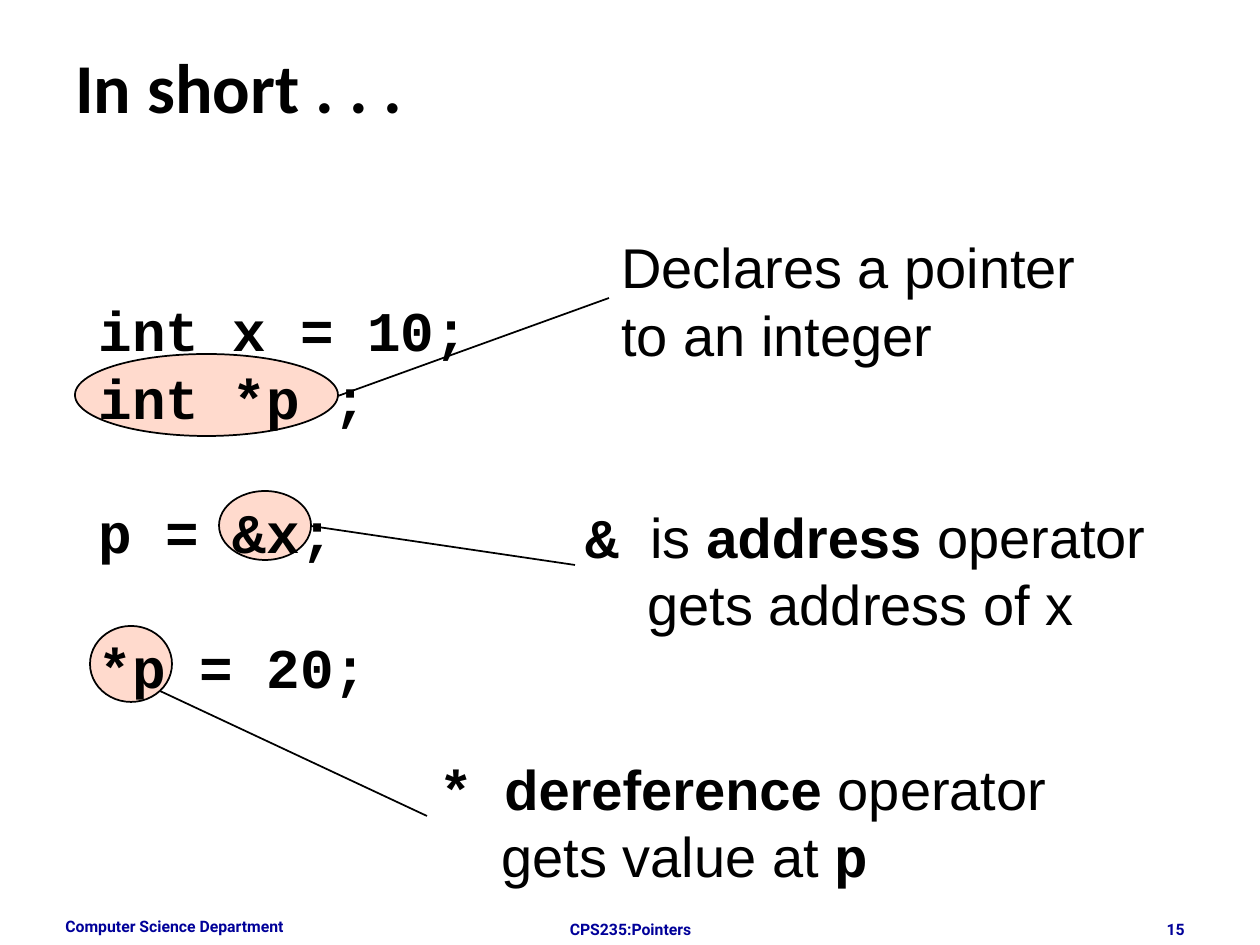
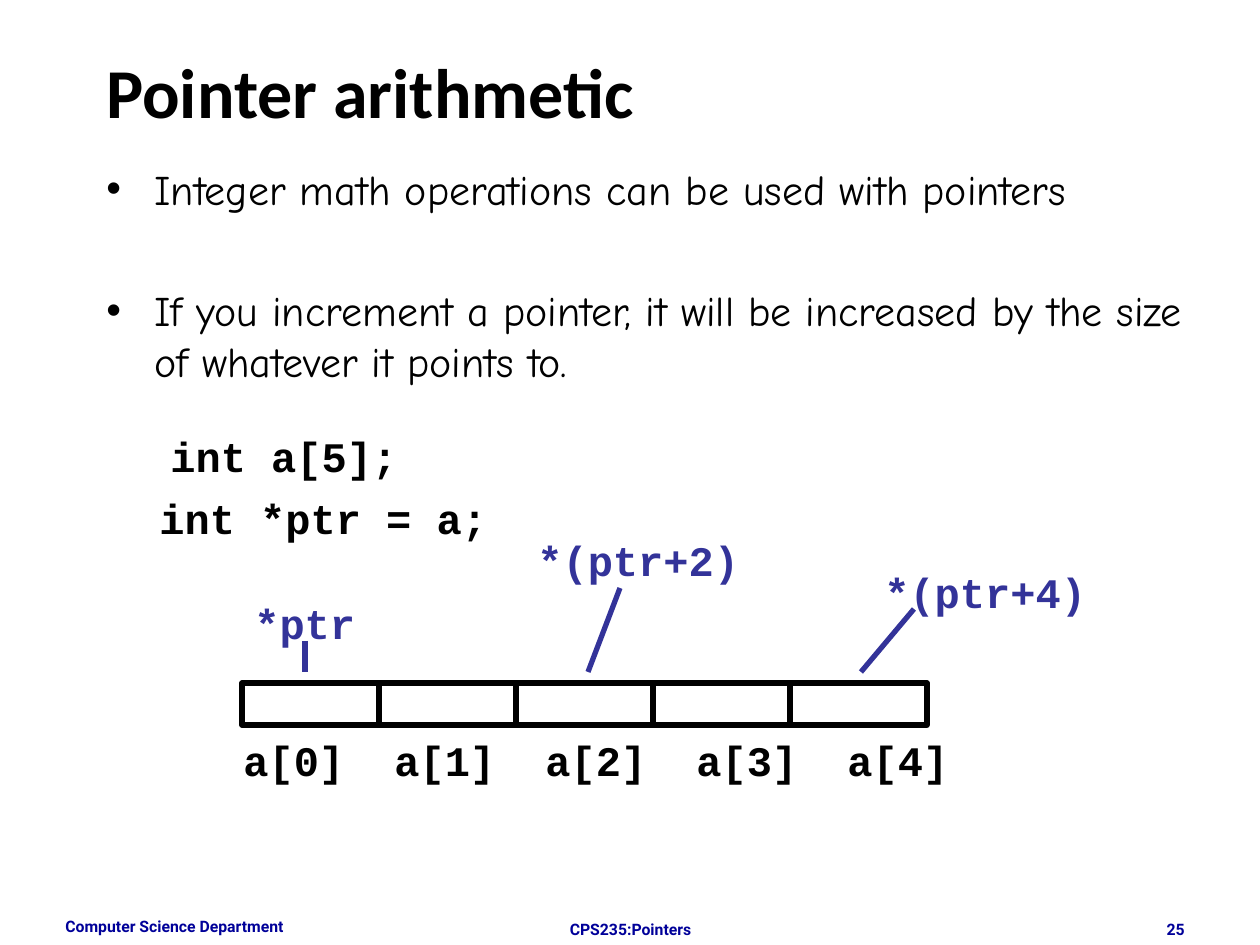
from lxml import etree
from pptx import Presentation
from pptx.dml.color import RGBColor
from pptx.enum.shapes import MSO_CONNECTOR, MSO_SHAPE
from pptx.enum.text import MSO_ANCHOR, MSO_AUTO_SIZE, PP_ALIGN
from pptx.oxml.ns import qn
from pptx.util import Inches, Pt

PX = 7257
BLACK = RGBColor(0x00, 0x00, 0x00)
NAVY = RGBColor(0x00, 0x00, 0x99)
INDIGO = RGBColor(0x33, 0x33, 0x99)
PEACH = RGBColor(0xFF, 0xDA, 0xCD)
LEFT, CENTER, RIGHT = PP_ALIGN.LEFT, PP_ALIGN.CENTER, PP_ALIGN.RIGHT
TOP = MSO_ANCHOR.TOP
GROW = MSO_AUTO_SIZE.SHAPE_TO_FIT_TEXT
FIXED = MSO_AUTO_SIZE.NONE
OVAL, RECTANGLE = MSO_SHAPE.OVAL, MSO_SHAPE.RECTANGLE
STRAIGHT = MSO_CONNECTOR.STRAIGHT

TITLE = {"name": "Calibri", "size": Pt(40), "bold": True}
FOOTER = {"name": "Roboto", "size": Pt(9), "bold": True}
BIG_CODE = {"name": "Courier New", "size": Pt(32), "bold": True}
NOTE = {"name": "Arial", "size": Pt(32), "bold": False}
NOTE_BOLD = NOTE | {"bold": True}
CODE = BIG_CODE | {"size": Pt(24)}
BODY = {"name": "Comic Neue", "size": Pt(24), "bold": False}


def add_text(slide, box, paragraphs, color=BLACK, align=LEFT, wrap=True,
             top=6, leading=None, before=(), indents=(), tabs=(), bullet=None):
    frame = slide.shapes.add_textbox(*[v * PX for v in box]).text_frame
    settings = {"word_wrap": wrap, "auto_size": FIXED if wrap else GROW,
                "vertical_anchor": TOP, "margin_top": top * PX}
    for key, value in settings.items():
        setattr(frame, key, value)
    for i, runs in enumerate(paragraphs):
        paragraph = frame.paragraphs[0] if i == 0 else frame.add_paragraph()
        properties = paragraph._p.get_or_add_pPr()
        if indents:
            properties.set("marL", str(indents[i] * PX))
        if bullet:
            properties.set("indent", str(-indents[i] * PX))
            bullet_color = etree.SubElement(properties, qn("a:buClr"))
            etree.SubElement(bullet_color, qn("a:srgbClr"), val=str(color))
            etree.SubElement(properties, qn("a:buFont"), typeface="Arial")
            etree.SubElement(properties, qn("a:buChar"), char=bullet)
        if tabs:
            tab_list = etree.SubElement(properties, qn("a:tabLst"))
            for stop in tabs:
                etree.SubElement(tab_list, qn("a:tab"), pos=str(stop * PX), algn="l")
        paragraph.alignment = align
        if leading:
            paragraph.line_spacing = Pt(leading)
        if before and before[i]:
            paragraph.space_before = Pt(before[i])
        for text, style in runs:
            run = paragraph.add_run()
            run.text = text
            for key, value in style.items():
                setattr(run.font, key, value)
            run.font.color.rgb = color


def add_line(slide, ends, color, width):
    line = slide.shapes.add_connector(STRAIGHT, *[v * PX for v in ends])
    line.line.color.rgb = color
    line.line.width = Pt(width)
    etree.SubElement(line._element.spPr, qn("a:effectLst"))


presentation = Presentation()
presentation.slide_width = Inches(10)
presentation.slide_height = Inches(7.5)

slides = []
for title, title_box, number in [
    ("In short . . .", (63, 38, 1134, 157), "15"),
    ("Pointer arithmetic", (94, 42, 1071, 84), "25"),
]:
    slide = presentation.slides.add_slide(presentation.slide_layouts[6])
    slides.append(slide)
    for text, box, align in [
        ("Computer Science Department", (53, 911, 294, 34), LEFT),
        ("CPS235:Pointers", (431, 914, 399, 13), CENTER),
        (number, (903, 914, 294, 13), RIGHT),
    ]:
        add_text(slide, box, [[(text, FOOTER)]], NAVY, align)
    add_text(slide, title_box, [[(title, TITLE)]])
summary, arithmetic = slides

for box in [(75, 354, 263, 82), (219, 491, 92, 69), (90, 626, 82, 76)]:
    highlight = summary.shapes.add_shape(OVAL, *[v * PX for v in box])
    highlight.shadow.inherit = False
    highlight.fill.solid()
    highlight.fill.fore_color.rgb = PEACH
    highlight.line.color.rgb = BLACK
    highlight.line.width = Pt(1)

statements = ["int x = 10;", "int *p ;", "p = &x;", "*p = 20;"]
add_text(summary, (86, 284, 396, 617), [[(code, BIG_CODE)] for code in statements],
         wrap=False, top=12, leading=38.4, before=(0, 0, 38.4, 38.4))
add_text(summary, (609, 224, 496, 147),
         [[("Declares a pointer", NOTE)], [("to an integer", NOTE)]],
         wrap=False, top=9, leading=38.4)
for box, paragraphs in [
    ((573, 491, 586, 147),
     [[("&\t", BIG_CODE), ("is ", NOTE), ("address", NOTE_BOLD), (" operator", NOTE)],
      [("gets address of x", NOTE)]]),
    ((427, 743, 633, 147),
     [[("*\t", BIG_CODE), ("dereference", NOTE_BOLD), (" operator", NOTE)],
      [("gets value at ", NOTE), ("p", BIG_CODE)]]),
]:
    add_text(summary, box, paragraphs, wrap=False, top=11, leading=38.4,
             indents=(0, 62), tabs=[65])

for ends in [(609, 298, 338, 396), (575, 565, 311, 526), (160, 691, 427, 816)]:
    add_line(summary, ends, BLACK, 1)

points = [
    "Integer math operations can be used with pointers",
    "If you increment a pointer, it will be increased by the size of whatever it points to.",
]
add_text(arithmetic, (94, 157, 1113, 294), [[(point, BODY)] for point in points],
         leading=28.8, before=(0, 40.8), indents=(48, 48), bullet="•")

CELL_COUNT = 5
CELL_PITCH = 137
for i in range(CELL_COUNT):
    cell = arithmetic.shapes.add_shape(
        RECTANGLE, (242 + i * CELL_PITCH) * PX, 683 * PX, CELL_PITCH * PX, 42 * PX)
    cell.shadow.inherit = False
    cell.fill.background()
    cell.line.color.rgb = BLACK
    cell.line.width = Pt(3)

LABEL_PITCH = 151
labels = "\t".join(f"a[{i}]" for i in range(CELL_COUNT))
add_text(arithmetic, (231, 725, 819, 63), [[(labels, CODE)]], top=10, leading=28.8,
         tabs=[i * LABEL_PITCH for i in range(1, CELL_COUNT)])

for code, box, color in [
    ("int a[5];", (158, 420, 252, 63), BLACK),
    ("int *ptr = a;", (147, 483, 353, 63), BLACK),
    ("*ptr", (242, 588, 126, 63), INDIGO),
    ("*(ptr+2)", (525, 525, 227, 63), INDIGO),
    ("*(ptr+4)", (872, 557, 227, 63), INDIGO),
]:
    add_text(arithmetic, box, [[(code, CODE)]], color, wrap=False, top=10, leading=28.8)

for ends in [(305, 641, 305, 672), (620, 588, 588, 672), (914, 609, 861, 672)]:
    add_line(arithmetic, ends, INDIGO, 3)

presentation.save("out.pptx")
